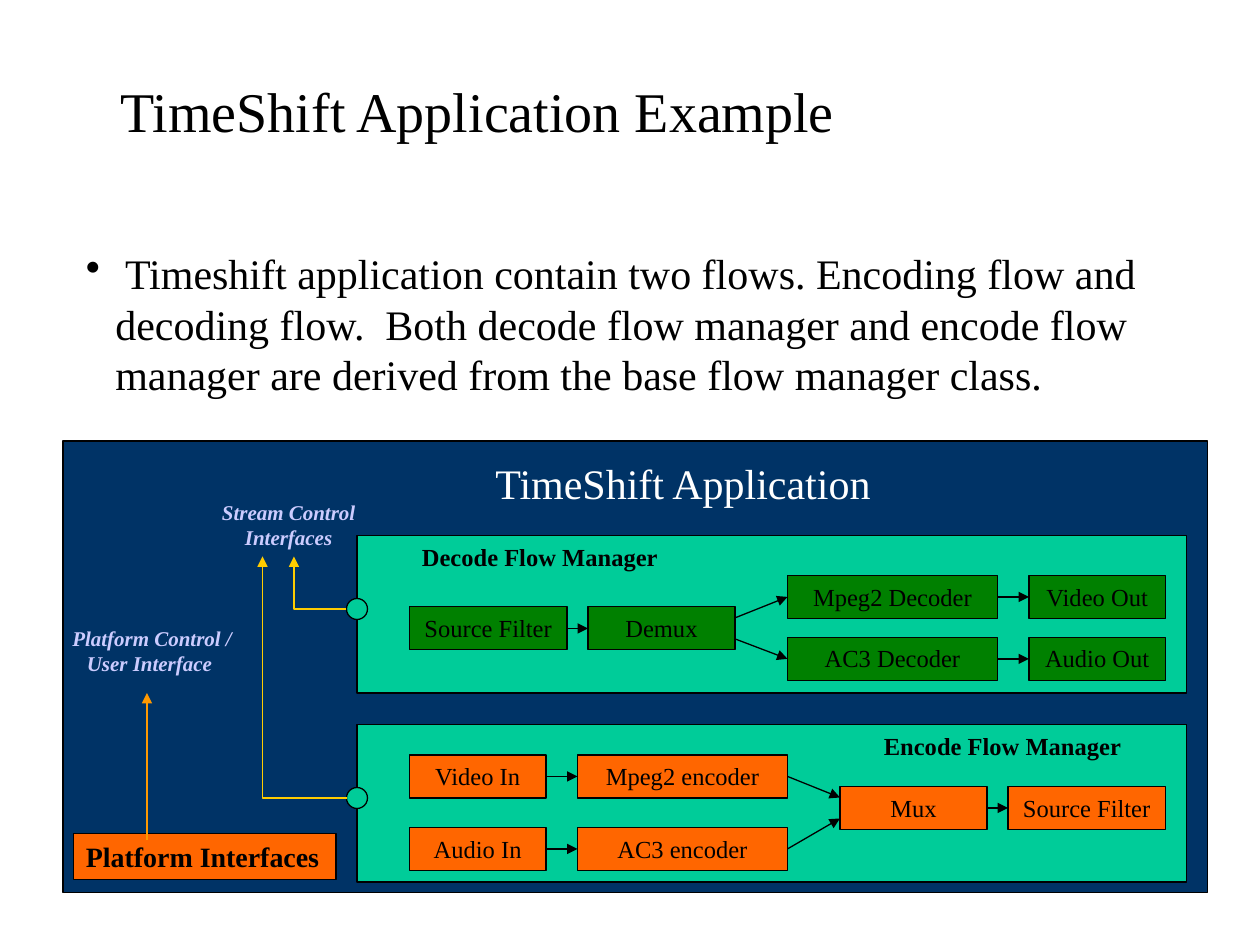
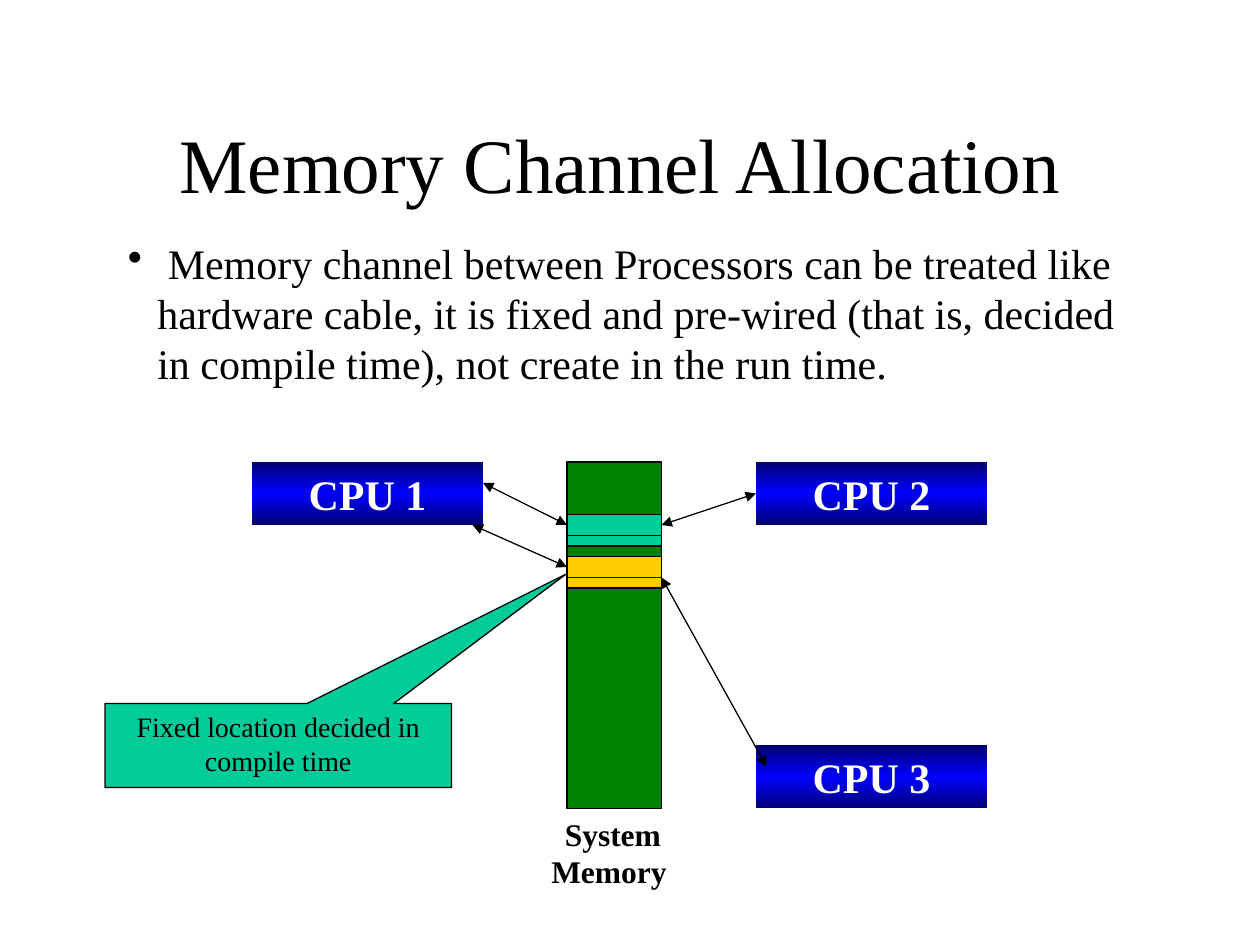
import copy

import pptx
import pptx.dml.color
import pptx.enum.shapes
import pptx.enum.text
import pptx.oxml
import pptx.oxml.ns
import pptx.util

PX = 7620  # EMU: 120 px to the inch
FONT = "Times New Roman"
BLACK, WHITE, LILAC = "000000", "FFFFFF", "CCCCFF"
NAVY, TEAL, GREEN = "003366", "00CC99", "008000"
ORANGE, AMBER, GOLD = "FF6600", "FF9900", "FFCC00"
DEEP, BLUE = "000075", "0000FF"
ROW = 41  # height of a one-line box

KIND = pptx.enum.shapes.MSO_SHAPE
ALIGN = pptx.enum.text.PP_ALIGN
ANCHOR = pptx.enum.text.MSO_ANCHOR
qn = pptx.oxml.ns.qn


def px(*nums):
    return [round(n * PX) for n in nums]


def rgb(code):
    return pptx.dml.color.RGBColor.from_string(code)


def write(shape, text, size=14, color=BLACK, bold=False, slant=False,
          center=True, middle=False):
    frame = shape.text_frame
    frame.word_wrap = True
    frame.vertical_anchor = ANCHOR.MIDDLE if middle else ANCHOR.TOP
    para = frame.paragraphs[0]
    para.alignment = ALIGN.CENTER if center else ALIGN.LEFT
    run = para.add_run()
    run.text = text
    font = run.font
    font.name, font.size = FONT, pptx.util.Pt(size)
    font.bold, font.italic = bold, slant
    font.color.rgb = rgb(color)
    return para


def label(slide, at, text, **style):
    return write(slide.shapes.add_textbox(*px(*at)), text, **style)


def title(slide, at, text, size):
    label(slide, at, text, size=size, middle=True)


def bullet(slide, at, text):
    props = label(slide, at, text, size=24, center=False)._p.get_or_add_pPr()
    step = px(28)[0]
    props.set("marL", str(step))
    props.set("indent", str(-step))
    pptx.oxml.ns  # namespace map used by qn
    mark = props.makeelement(qn("a:buChar"), {"char": "•"})
    props.append(mark)


def stroke(line, color=BLACK, width=0.75, head=False, tail=False):
    line.color.rgb = rgb(color)
    line.width = pptx.util.Pt(width)
    for tag, wanted in (("a:headEnd", head), ("a:tailEnd", tail)):
        if wanted:
            node = line._get_or_add_ln()
            node.append(node.makeelement(qn(tag), {"type": "triangle"}))


def block(slide, at, fill, kind=KIND.RECTANGLE):
    """Add a filled shape with a thin black edge."""
    shape = slide.shapes.add_shape(kind, *px(*at))
    shape.shadow.inherit = False
    shape.fill.solid()
    shape.fill.fore_color.rgb = rgb(fill)
    stroke(shape.line)
    return shape


def arrow(slide, start, end, tail=True, **style):
    line = slide.shapes.add_connector(
        pptx.enum.shapes.MSO_CONNECTOR.STRAIGHT, *px(*start, *end))
    stroke(line.line, tail=tail, **style)
    props = line._element.spPr
    props.append(props.makeelement(qn("a:effectLst"), {}))


def elbow(slide, start, *points):
    """Draw an open bent line that ends in an arrowhead."""
    path = slide.shapes.build_freeform(*start, scale=PX)
    path.add_line_segments(points, close=False)
    shape = path.convert_to_shape()
    shape.shadow.inherit = False
    shape.fill.background()
    stroke(shape.line, GOLD, tail=True)


def stage(slide, left, top, width, text, fill):
    at = (left, top, width, ROW)
    write(block(slide, at, fill), text)
    return at


def link(slide, one, two, leave=0, enter=0):
    """Join the right side of one stage to the left side of the next."""
    arrow(slide, (one[0] + one[2], one[1] + ROW / 2 + leave),
          (two[0], two[1] + ROW / 2 + enter))


def cpu(slide, left, top, text):
    shape = block(slide, (left, top, 220, 60), BLUE)
    shape.line.fill.background()
    shape.fill.gradient()
    shape.fill.gradient_angle = 90
    stops = shape._element.spPr.find(qn("a:gradFill")).find(qn("a:gsLst"))
    stops.append(copy.deepcopy(stops[0]))
    for stop, place, color in zip(shape.fill.gradient_stops,
                                  (0, 0.5, 1), (DEEP, BLUE, DEEP)):
        stop.position = place
        stop.color.rgb = rgb(color)
    write(shape, text, size=24, color=WHITE, bold=True)


def slot(slide, top, fill):
    block(slide, (540, top, 90, 30), fill)
    arrow(slide, (540, top + 20), (630, top + 20), tail=False)


def decode(slide):
    source = stage(slide, 390, 578, 150, "Source Filter", GREEN)
    demux = stage(slide, 560, 578, 140, "Demux", GREEN)
    link(slide, source, demux)
    for top, coder, sink, leave in ((548, "Mpeg2 Decoder", "Video Out", -10),
                                    (607, "AC3 Decoder", "Audio Out", 10)):
        mid = stage(slide, 750, top, 200, coder, GREEN)
        last = stage(slide, 980, top, 130, sink, GREEN)
        link(slide, demux, mid, leave=leave)
        link(slide, mid, last)
    label(slide, (390, 510, 320, ROW), "Decode Flow Manager",
          bold=True, center=False)


def encode(slide):
    mux = stage(slide, 800, 749, 140, "Mux", ORANGE)
    source = stage(slide, 960, 749, 150, "Source Filter", ORANGE)
    link(slide, mux, source)
    for top, feed, coder, enter in ((719, "Video In", "Mpeg2 encoder", -10),
                                    (788, "Audio In", "AC3 encoder", 10)):
        first = stage(slide, 390, top, 130, feed, ORANGE)
        mid = stage(slide, 550, top, 200, coder, ORANGE)
        link(slide, first, mid)
        link(slide, mid, mux, enter=enter)
    label(slide, (830, 690, 320, ROW), "Encode Flow Manager",
          bold=True, center=False)


def shift(slide):
    title(slide, (40, 40, 830, 130), "TimeShift Application Example", 32)
    bullet(slide, (70, 230, 1050, 156),
           " Timeshift application contain two flows. Encoding flow and "
           "decoding flow.  Both decode flow manager and encode flow manager "
           "are derived from the base flow manager class.")
    block(slide, (60, 420, 1090, 430), NAVY)
    label(slide, (460, 430, 520, 60), "TimeShift Application",
          size=24, color=WHITE, center=False)
    for top, bend in ((510, 280), (690, 250)):
        block(slide, (340, top, 790, 150), TEAL)
        block(slide, (330, top + 60, 20, 20), TEAL, KIND.OVAL)
        elbow(slide, (330, top + 70), (bend, top + 70), (bend, 530))
    decode(slide)
    encode(slide)
    for left, top, text in ((180, 470, "Stream Control Interfaces"),
                            (50, 590, "Platform Control / User Interface ")):
        label(slide, (left, top, 190, 60), text, size=12, color=LILAC,
              bold=True, slant=True)
    write(block(slide, (70, 794, 250, 44), ORANGE), "Platform Interfaces",
          size=16, bold=True, center=False)
    arrow(slide, (140, 800), (140, 660), color=AMBER, width=1.5)


def memory(slide):
    title(slide, (90, 80, 1020, 150), "Memory Channel Allocation ", 44)
    bullet(slide, (110, 220, 990, 156),
           " Memory channel between Processors can be treated like hardware "
           "cable, it is fixed and pre-wired (that is, decided in compile "
           "time), not create in the run time.")
    for num, (left, top) in enumerate(((240, 440), (720, 440), (720, 710)), 1):
        cpu(slide, left, top, f"CPU {num}")
    block(slide, (540, 440, 90, 330), GREEN)
    slot(slide, 490, TEAL)
    slot(slide, 530, GOLD)
    for start, end in (((460, 460), (540, 500)), ((630, 500), (720, 470)),
                       ((450, 500), (540, 540)), ((630, 550), (730, 730))):
        arrow(slide, start, end, head=True)
    label(slide, (460, 770, 240, 84), " System Memory", size=18, bold=True)
    note = block(slide, (100, 670, 330, 80), TEAL, KIND.RECTANGULAR_CALLOUT)
    note.adjustments[0], note.adjustments[1] = 0.83, -2.04
    write(note, "Fixed location decided in compile time", size=16)


def main():
    deck = pptx.Presentation()
    deck.slide_width, deck.slide_height = px(1200, 900)
    for draw in (shift, memory):
        draw(deck.slides.add_slide(deck.slide_layouts[6]))
    deck.save("out.pptx")


if __name__ == "__main__":
    main()
